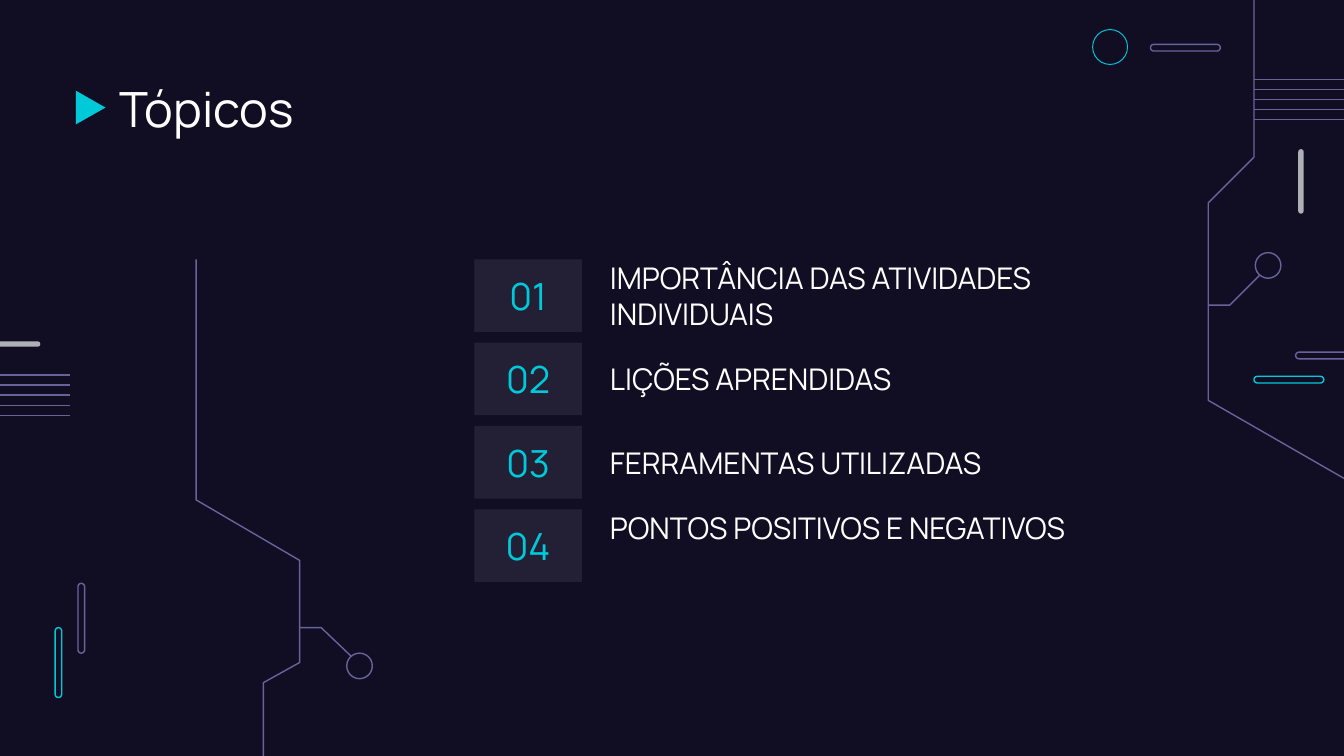
from lxml.etree import SubElement
from pptx import Presentation
from pptx.dml.color import RGBColor
from pptx.enum.shapes import MSO_CONNECTOR, MSO_SHAPE
from pptx.enum.text import MSO_ANCHOR, MSO_AUTO_SIZE, PP_ALIGN
from pptx.oxml.ns import qn
from pptx.util import Inches, Pt

NIGHT = RGBColor(0x11, 0x0E, 0x24)
WHITE = RGBColor(0xFF, 0xFF, 0xFF)
CYAN = RGBColor(0x00, 0xCA, 0xDA)
VIOLET = RGBColor(0x69, 0x63, 0x9C)
GREY = RGBColor(0xAF, 0xAF, 0xB6)
FONT = "Manrope"

COLUMNS, ROWS = 1000, 562.5
CELL = Inches(10) // COLUMNS

TOPICS = [
    ("IMPORTÂNCIA DAS ATIVIDADES INDIVIDUAIS", 388),
    ("LIÇÕES APRENDIDAS", 297),
    ("FERRAMENTAS UTILIZADAS", 388),
    ("PONTOS POSITIVOS E NEGATIVOS", 399),
]
TOPIC_TOP, TOPIC_PITCH, TOPIC_HEIGHT = 193, 62, 54
NUMBER_LEFT, NUMBER_WIDTH, LABEL_LEFT = 353, 80, 444

PILL_LONG, PILL_SHORT = 52, 5
BAR_LONG, BAR_SHORT = 48, 4
RAIL_COUNT, RAIL_PITCH = 5, 7.5

OUTLINED_PILLS = [
    (41, 467, PILL_SHORT, PILL_LONG, CYAN),
    (58, 434, PILL_SHORT, PILL_LONG, VIOLET),
    (933, 280, PILL_LONG, PILL_SHORT, CYAN),
    (964, 262, PILL_LONG, PILL_SHORT, VIOLET),
    (856, 33, PILL_LONG, PILL_SHORT, VIOLET),
]
SOLID_BARS = [
    (966, 111, BAR_SHORT, BAR_LONG),
    (-18, 254, BAR_LONG, BAR_SHORT),
]
RINGS = [
    (813, 22, 26, CYAN, 0.5),
    (934, 188, 19, VIOLET, 0.75),
    (258, 486, 19, VIOLET, 0.75),
]
TRACES = [
    [(COLUMNS, 356), (899, 298), (899, 151), (933, 117), (933, 0)],
    [(937, 205), (915, 227), (899, 227)],
    [(146, 193), (146, 372), (223, 417), (223, 493), (196, 508), (196, ROWS)],
    [(261, 488), (239, 467), (223, 467)],
]


def grid(*cells):
    return [round(cell * CELL) for cell in cells]


def add_figure(slide, kind, box, fill=None, line=None, weight=0.75):
    figure = slide.shapes.add_shape(kind, *grid(*box))
    figure.shadow.inherit = False
    if fill is None:
        figure.fill.background()
    else:
        figure.fill.solid()
        figure.fill.fore_color.rgb = fill
    if line is None:
        figure.line.fill.background()
    else:
        figure.line.color.rgb = line
        figure.line.width = Pt(weight)
    return figure


def add_pill(slide, box, **colours):
    pill = add_figure(slide, MSO_SHAPE.ROUNDED_RECTANGLE, box, **colours)
    pill.adjustments[0] = 0.5


def add_trace(slide, points):
    start, *corners = [grid(*point) for point in points]
    builder = slide.shapes.build_freeform(*start)
    builder.add_line_segments(corners, close=False)
    trace = builder.convert_to_shape()
    trace.shadow.inherit = False
    trace.fill.background()
    trace.line.color.rgb = VIOLET
    trace.line.width = Pt(0.75)


def add_rails(slide, left, right, top):
    for index in range(RAIL_COUNT):
        row = top + index * RAIL_PITCH
        rail = slide.shapes.add_connector(
            MSO_CONNECTOR.STRAIGHT, *grid(left, row, right, row))
        rail.line.color.rgb = VIOLET
        rail.line.width = Pt(0.75)
        SubElement(rail._element.spPr, qn("a:effectLst"))


def write(frame, words, size, colour, align=PP_ALIGN.LEFT, anchor=MSO_ANCHOR.MIDDLE):
    frame.text = words
    frame.word_wrap = True
    frame.auto_size = MSO_AUTO_SIZE.NONE
    frame.vertical_anchor = anchor
    frame.margin_left = frame.margin_right = Inches(0.1)
    frame.margin_top = frame.margin_bottom = 0
    paragraph = frame.paragraphs[0]
    paragraph.alignment = align
    paragraph.font.name = FONT
    paragraph.font.size = Pt(size)
    paragraph.font.color.rgb = colour


def add_title(slide):
    title = slide.shapes.title
    title.left, title.top, title.width, title.height = grid(79, 49, 843, 63)
    write(title.text_frame, "Tópicos", 26, WHITE)
    marker = add_figure(
        slide, MSO_SHAPE.FLOWCHART_MERGE, (55, 69, 25, 22), fill=CYAN)
    marker.rotation = 270


def add_topic(slide, index, words, width, anchor):
    top = TOPIC_TOP + index * TOPIC_PITCH
    number = add_figure(
        slide, MSO_SHAPE.RECTANGLE,
        (NUMBER_LEFT, top, NUMBER_WIDTH, TOPIC_HEIGHT), fill=WHITE)
    tint = number._element.spPr.find(qn("a:solidFill"))[0]
    SubElement(tint, qn("a:alpha"), val="8000")
    write(number.text_frame, f"{index + 1:02}", 20, CYAN, PP_ALIGN.CENTER)
    label = slide.shapes.add_textbox(*grid(LABEL_LEFT, top, width, TOPIC_HEIGHT))
    write(label.text_frame, words, 16, WHITE, anchor=anchor)


def add_circuit(slide):
    for *box, colour in OUTLINED_PILLS:
        add_pill(slide, box, line=colour)
    for box in SOLID_BARS:
        add_pill(slide, box, fill=GREY)
    for left, top, size, colour, weight in RINGS:
        add_figure(slide, MSO_SHAPE.OVAL, (left, top, size, size),
                   line=colour, weight=weight)
    for points in TRACES:
        add_trace(slide, points)
    add_rails(slide, 933, COLUMNS, 59)
    add_rails(slide, 0, 52, 279)


def main():
    deck = Presentation()
    deck.slide_width, deck.slide_height = grid(COLUMNS, ROWS)
    slide = deck.slides.add_slide(deck.slide_layouts[5])
    slide.background.fill.solid()
    slide.background.fill.fore_color.rgb = NIGHT
    add_circuit(slide)
    add_title(slide)
    for index, (words, width) in enumerate(TOPICS):
        is_last = index == len(TOPICS) - 1
        anchor = MSO_ANCHOR.TOP if is_last else MSO_ANCHOR.MIDDLE
        add_topic(slide, index, words, width, anchor)
    deck.save("out.pptx")


if __name__ == "__main__":
    main()
